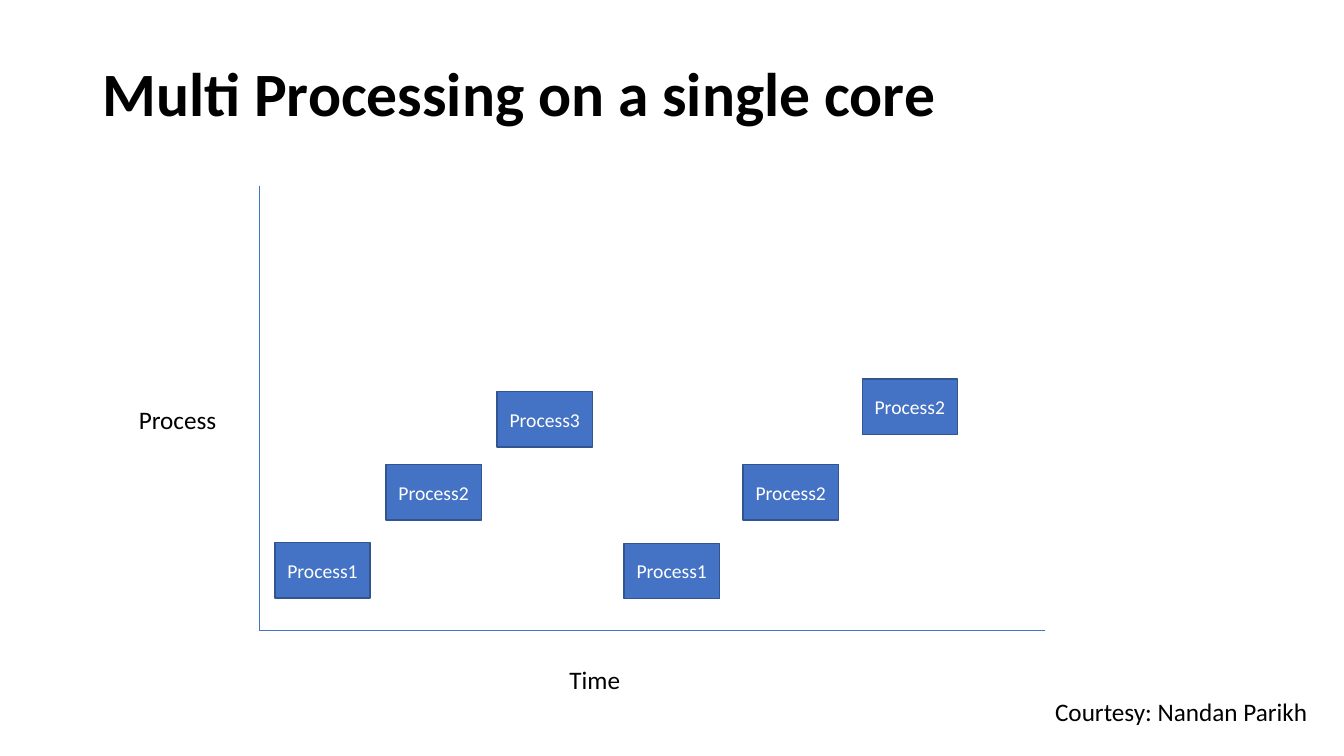
from pptx import Presentation
from pptx.dml.color import RGBColor
from pptx.enum.shapes import MSO_CONNECTOR, MSO_SHAPE
from pptx.enum.text import MSO_ANCHOR, MSO_AUTO_SIZE, PP_ALIGN
from pptx.oxml.ns import qn
from pptx.util import Cm, Pt
from lxml.etree import SubElement

BLUE = RGBColor(0x44, 0x72, 0xC4)
NAVY = RGBColor(0x32, 0x54, 0x91)
BLACK = RGBColor(0, 0, 0)
WHITE = RGBColor(255, 255, 255)


class Board:
    """Draws styled elements on the current slide."""

    font = "Calibri"

    def __init__(self, slide):
        self.slide = slide

    def style(self, frame, text, size, color, bold=False):
        frame.text = text
        font = frame.paragraphs[0].runs[0].font
        font.name, font.size, font.bold = self.font, Pt(size), bold
        font.color.rgb = color

    def title(self, text, left, top, width, height):
        box = self.slide.shapes.add_textbox(Cm(left), Cm(top), Cm(width), Cm(height))
        frame = box.text_frame
        frame.word_wrap = True
        frame.vertical_anchor = MSO_ANCHOR.MIDDLE
        self.style(frame, text, 44, BLACK, True)
        frame.paragraphs[0].line_spacing = 0.9

    def label(self, text, left, top, width):
        box = self.slide.shapes.add_textbox(Cm(left), Cm(top), Cm(width), Cm(1.03))
        frame = box.text_frame
        frame.word_wrap = False
        frame.auto_size = MSO_AUTO_SIZE.SHAPE_TO_FIT_TEXT
        self.style(frame, text, 18, BLACK)

    def block(self, text, left, top):
        box = self.slide.shapes.add_shape(
            MSO_SHAPE.RECTANGLE, Cm(left), Cm(top), Cm(2.4), Cm(1.4))
        box.shadow.inherit = False
        box.fill.solid()
        box.fill.fore_color.rgb = BLUE
        box.line.color.rgb = NAVY
        box.line.width = Pt(1)
        frame = box.text_frame
        frame.vertical_anchor = MSO_ANCHOR.MIDDLE
        self.style(frame, text, 14, WHITE)
        frame.paragraphs[0].alignment = PP_ALIGN.CENTER

    def axis(self, left, top, right, bottom):
        line = self.slide.shapes.add_connector(
            MSO_CONNECTOR.STRAIGHT, Cm(left), Cm(top), Cm(right), Cm(bottom))
        line.line.color.rgb = BLUE
        line.line.width = Pt(0.5)
        SubElement(line._element.spPr, qn("a:effectLst"))


def main():
    deck = Presentation()
    deck.slide_width, deck.slide_height = Cm(33.87), Cm(19.05)
    board = Board(deck.slides.add_slide(deck.slide_layouts[6]))

    board.axis(6.53, 4.68, 6.53, 15.88)
    board.axis(26.34, 15.88, 6.53, 15.88)
    board.label("Time", 14.1, 16.61, 1.8)
    board.label("Process", 3.25, 10.06, 2.49)

    rounds = [
        (6.93, 2.8, [("Process1", 13.67), ("Process2", 11.71), ("Process3", 9.87)]),
        (15.73, 3, [("Process1", 13.69), ("Process2", 11.71), ("Process2", 9.55)]),
    ]
    for start, step, tasks in rounds:
        for turn, (name, top) in enumerate(tasks):
            board.block(name, start + turn * step, top)

    board.label("Courtesy: Nandan Parikh", 26.34, 17.42, 6.93)
    board.title("Multi Processing on a single core", 2.33, 0.6, 29.21, 3.68)
    deck.save("out.pptx")


if __name__ == "__main__":
    main()
